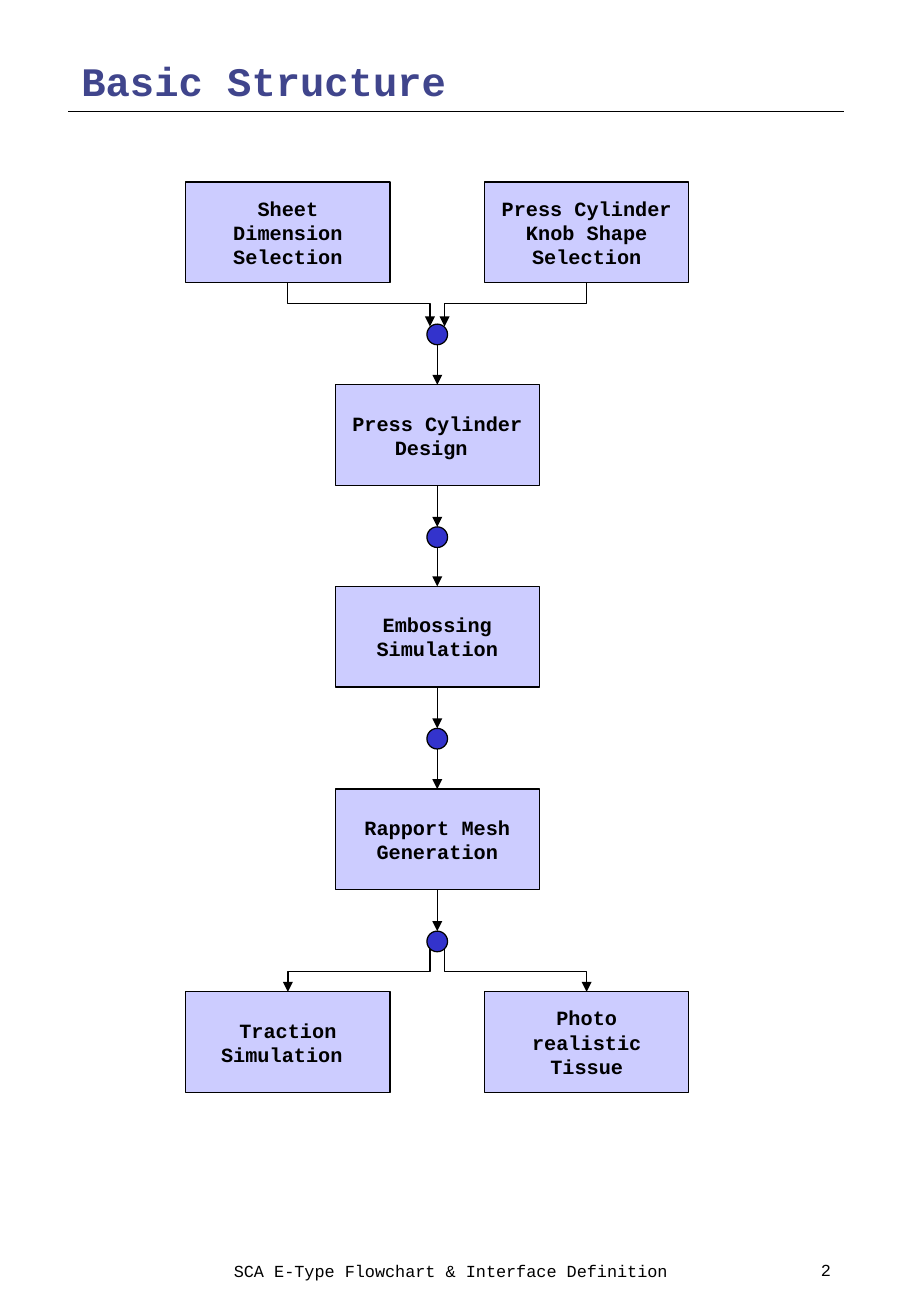
from lxml import etree
from pptx import Presentation
from pptx.dml.color import RGBColor
from pptx.enum.shapes import MSO_CONNECTOR, MSO_SHAPE
from pptx.enum.text import MSO_ANCHOR, MSO_AUTO_SIZE, PP_ALIGN
from pptx.oxml.ns import qn
from pptx.util import Pt

PROCESS, NODE = MSO_SHAPE.FLOWCHART_PROCESS, MSO_SHAPE.FLOWCHART_CONNECTOR
STRAIGHT, ELBOW = MSO_CONNECTOR.STRAIGHT, MSO_CONNECTOR.ELBOW
LEFT, CENTER, RIGHT = PP_ALIGN.LEFT, PP_ALIGN.CENTER, PP_ALIGN.RIGHT
MIDDLE, BOTTOM = MSO_ANCHOR.MIDDLE, MSO_ANCHOR.BOTTOM
NO_FIT = MSO_AUTO_SIZE.NONE

EMU_PER_PX = 9144
COLORS = {"title": "40458C", "box": "CCCCFF", "node": "3333CC", "ink": "000000"}
BOX_WIDTH, BOX_HEIGHT, NODE_SIZE = 168, 83, 17
LEFT_X, CENTER_X, RIGHT_X = 237, 360, 483
FIRST_TOP, NODE_OFFSET, ROW_PITCH = 150, 117, 500 / 3
PORT_X, PORT_Y = 6, 2


def px(length):
    return int(length * EMU_PER_PX)


def color(name):
    return RGBColor.from_string(COLORS[name])


class FlowchartSlide:
    """Draws flowchart elements on one slide in a shared style."""

    def __init__(self, presentation):
        self.slide = presentation.slides.add_slide(presentation.slide_layouts[5])
        self.shapes = self.slide.shapes
        self.font = "Courier New"

    def set_text(self, shape, text, size, align=CENTER, anchor=MIDDLE, bold=False, ink="ink"):
        frame = shape.text_frame
        frame_format = {"word_wrap": True, "auto_size": NO_FIT, "vertical_anchor": anchor,
                        "margin_left": px(10), "margin_right": px(10),
                        "margin_top": px(5), "margin_bottom": px(5)}
        for name, value in frame_format.items():
            setattr(frame, name, value)
        paragraph = frame.paragraphs[0]
        paragraph.text = text
        paragraph.alignment = align
        for run in paragraph.runs:
            font_format = {"name": self.font, "size": Pt(size), "bold": bold}
            for name, value in font_format.items():
                setattr(run.font, name, value)
            run.font.color.rgb = color(ink)

    def outline(self, line):
        line.color.rgb = color("ink")
        line.width = Pt(0.75)

    def title(self, text, left, top, width, height):
        title = self.shapes.title
        place = {"left": left, "top": top, "width": width, "height": height}
        for name, value in place.items():
            setattr(title, name, px(value))
        self.set_text(title, text, 24, LEFT, BOTTOM, True, "title")

    def label(self, text, left, top, width, height, align):
        box = self.shapes.add_textbox(px(left), px(top), px(width), px(height))
        self.set_text(box, text, 10, align)

    def block(self, kind, center_x, top, width, height, fill):
        shape = self.shapes.add_shape(kind, px(center_x - width / 2), px(top),
                                      px(width), px(height))
        shape.shadow.inherit = False
        shape.fill.solid()
        shape.fill.fore_color.rgb = color(fill)
        self.outline(shape.line)
        return shape

    def process(self, text, center_x, top):
        shape = self.block(PROCESS, center_x, top, BOX_WIDTH, BOX_HEIGHT, "box")
        self.set_text(shape, text, 12, bold=True)

    def node(self, top):
        self.block(NODE, CENTER_X, top, NODE_SIZE, NODE_SIZE, "node")

    def line(self, x1, y1, x2, y2, kind=STRAIGHT, arrow=False):
        connector = self.shapes.add_connector(kind, px(x1), px(y1), px(x2), px(y2))
        self.outline(connector.line)
        properties = connector._element.spPr
        if arrow:
            etree.SubElement(properties.find(qn("a:ln")), qn("a:tailEnd"), type="triangle")
        etree.SubElement(properties, qn("a:effectLst"))
        return properties

    def bent_arrow(self, x1, y1, x2, y2, bend):
        """Draws an arrow that leaves and arrives vertically."""
        middle_x, middle_y = (x1 + x2) / 2, (y1 + y2) / 2
        half_width, half_height = (y2 - y1) / 2, abs(x2 - x1) / 2
        properties = self.line(middle_x - half_width, middle_y - half_height,
                               middle_x + half_width, middle_y + half_height, ELBOW, True)
        goes_right = x2 > x1
        transform = properties.find(qn("a:xfrm"))
        transform.set("rot", "16200000" if goes_right else "5400000")
        if goes_right:
            transform.set("flipH", "1")
        adjustments = properties.find(qn("a:prstGeom")).find(qn("a:avLst"))
        ratio = round((bend - y1) / (y2 - y1) * 100000)
        etree.SubElement(adjustments, qn("a:gd"), name="adj1", fmla=f"val {ratio}")


def port_x(center_x):
    return CENTER_X + (PORT_X if center_x > CENTER_X else -PORT_X)


def main():
    presentation = Presentation()
    presentation.slide_width, presentation.slide_height = px(750), px(1084)
    chart = FlowchartSlide(presentation)
    chart.line(56, 92, 695, 92)
    chart.title("Basic Structure", 57, 33, 638, 58)

    rows = [
        [("Sheet Dimension Selection", LEFT_X),
         ("Press Cylinder\nKnob Shape Selection", RIGHT_X)],
        [("Press Cylinder Design ", CENTER_X)],
        [("Embossing\nSimulation", CENTER_X)],
        [("Rapport Mesh Generation", CENTER_X)],
        [("Traction Simulation ", LEFT_X), ("Photo realistic\nTissue", RIGHT_X)],
    ]
    tops = [round(FIRST_TOP + index * ROW_PITCH) for index in range(len(rows))]
    for row, top in zip(rows, tops):
        for text, center_x in row:
            chart.process(text, center_x, top)

    for index, (top, next_top) in enumerate(zip(tops, tops[1:])):
        node_top, box_bottom = top + NODE_OFFSET, top + BOX_HEIGHT
        node_bottom = node_top + NODE_SIZE
        chart.node(node_top)
        for _, center_x in rows[index]:
            if center_x == CENTER_X:
                chart.line(CENTER_X, box_bottom, CENTER_X, node_top, arrow=True)
            else:
                chart.bent_arrow(center_x, box_bottom, port_x(center_x),
                                 node_top + PORT_Y, box_bottom + 17)
        for _, center_x in rows[index + 1]:
            if center_x == CENTER_X:
                chart.line(CENTER_X, node_bottom, CENTER_X, next_top, arrow=True)
            else:
                chart.bent_arrow(port_x(center_x), node_bottom - PORT_Y,
                                 center_x, next_top, next_top - 17)

    chart.label("SCA E-Type Flowchart & Interface Definition", 175, 1035, 392, 23, CENTER)
    chart.label("2", 567, 1033, 127, 26, RIGHT)
    presentation.save("out.pptx")


if __name__ == "__main__":
    main()
